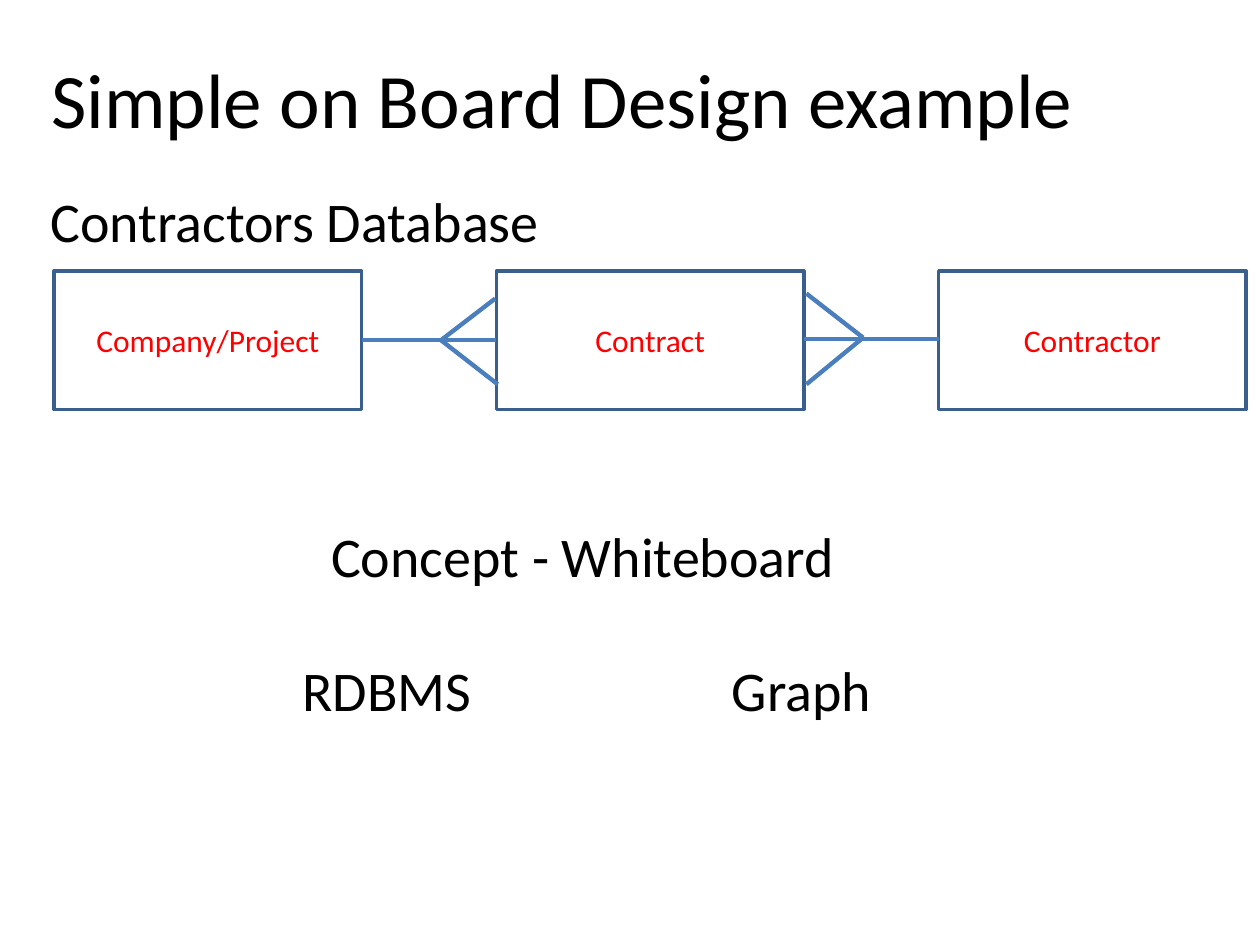
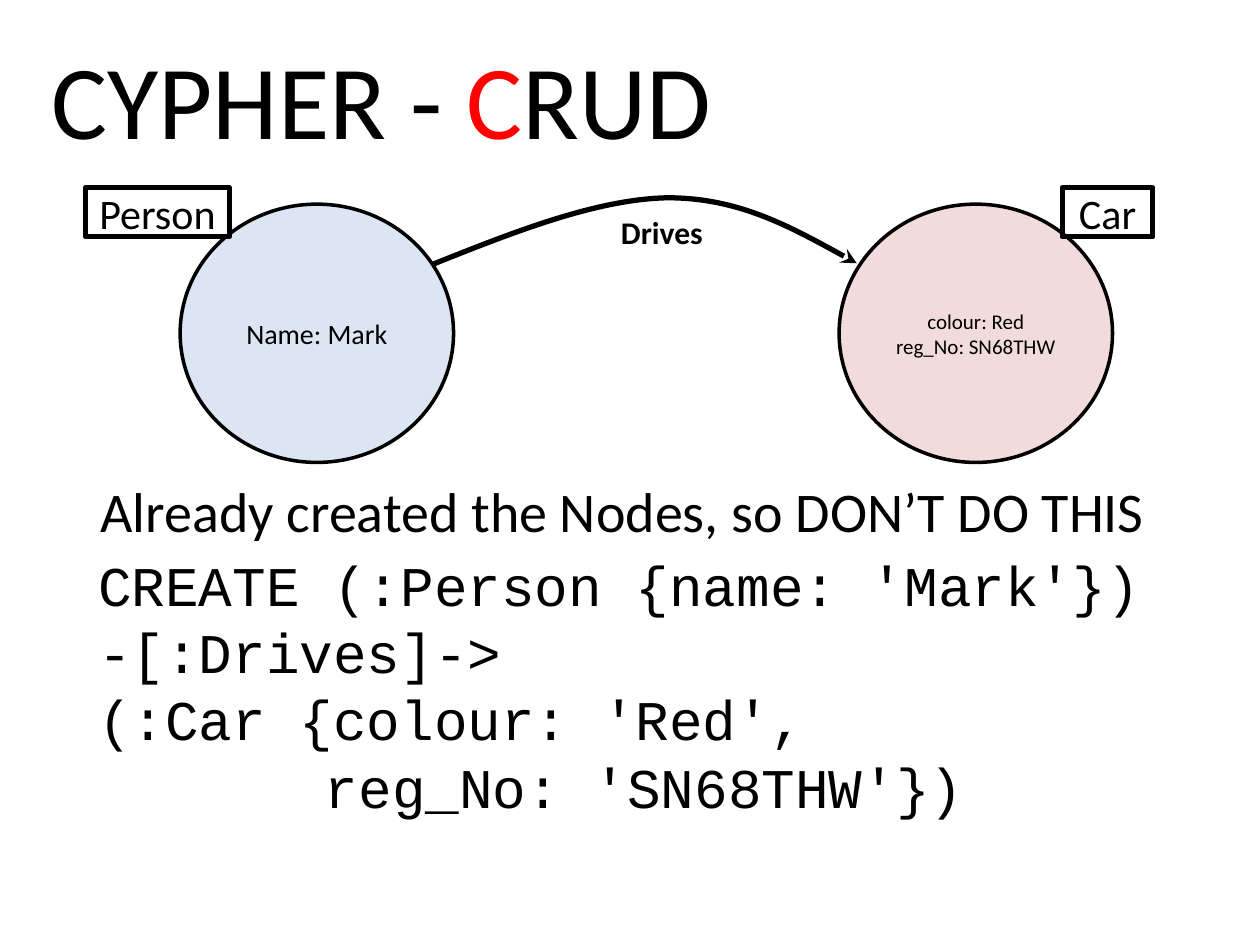
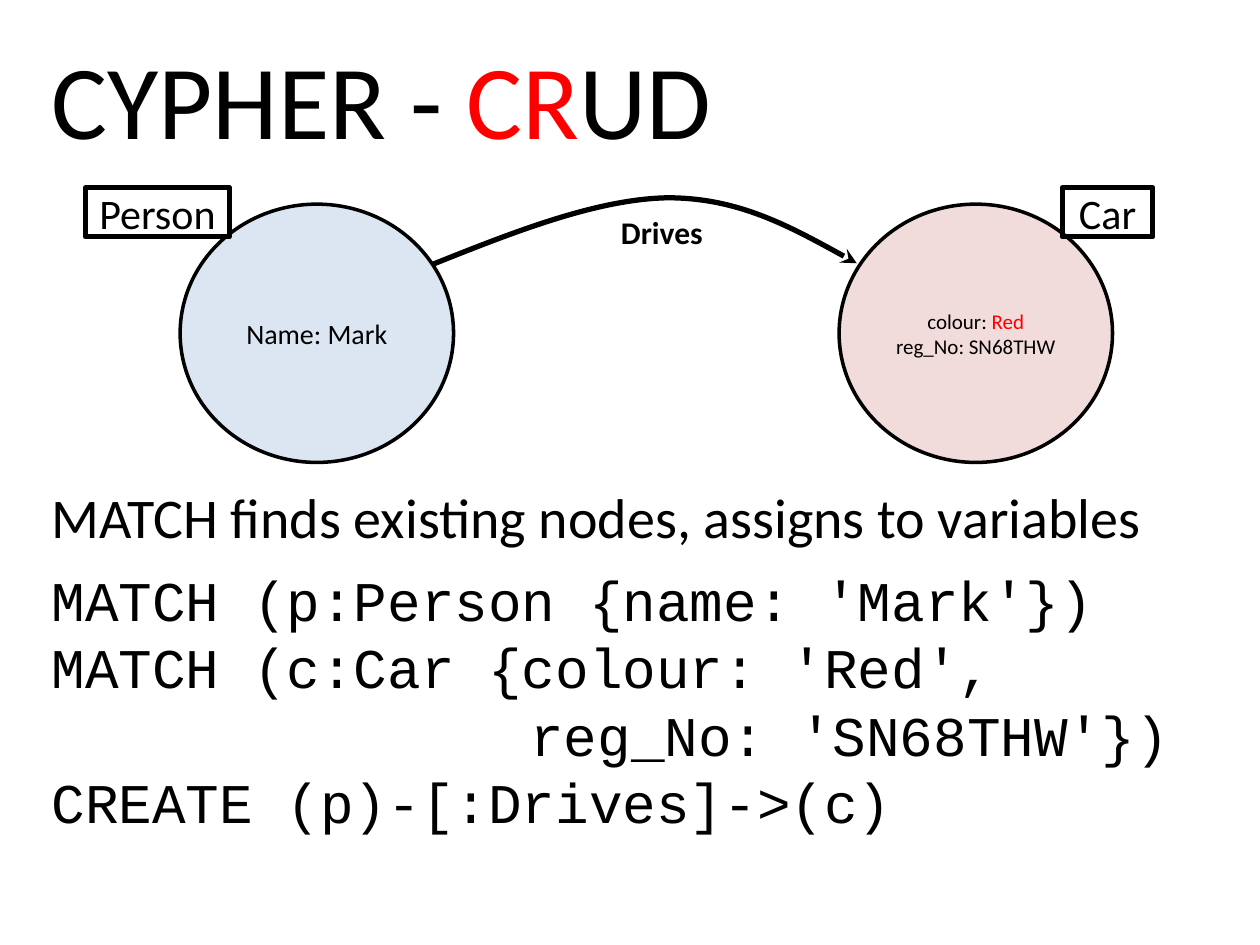
"""Build three slides on database design and Cypher CRUD."""
from lxml.etree import SubElement
from pptx import Presentation
from pptx.dml.color import RGBColor
from pptx.enum.shapes import MSO_CONNECTOR, MSO_SHAPE
from pptx.enum.text import MSO_ANCHOR as Anchor, PP_ALIGN as Align
from pptx.oxml.ns import qn
from pptx.util import Inches, Pt

BLACK = RGBColor(0x00, 0x00, 0x00)
RED = RGBColor(0xFF, 0x00, 0x00)
ENTITY_LINE = RGBColor(0x3A, 0x5F, 0x8C)
RELATION_LINE = RGBColor(0x4B, 0x7E, 0xBC)
PERSON_FILL = RGBColor(0xDC, 0xE6, 0xF2)
CAR_FILL = RGBColor(0xF2, 0xDC, 0xDB)
BODY_FONT, CODE_FONT = "Calibri", "Courier New"

TITLE_BOX = (0.31, 0.23, 8.36, 1.09)

DESIGN_TITLE = "Simple on Board Design example"
DESIGN_BOX = (0.3, 1.43, 9.33, 4.35)
DESIGN_TEXT = ["Contractors Database", "\tConcept - Whiteboard", "\tRDBMS\tGraph"]
DESIGN_TABS = [(), (2.23,), (2.0, 5.41)]
DESIGN_SPACES = [0, 153, 38]
ENTITIES = ["Company/Project", "Contract", "Contractor"]
ENTITY_LEFT, ENTITY_TOP, ENTITY_WIDTH, ENTITY_HEIGHT = 0.43, 2.15, 2.44, 1.1
ENTITY_STEP = 3.51
CROW_FEET = [
    [((2.87, 2.7), (3.94, 2.7)), ((3.5, 2.7), (3.93, 2.37)), ((3.5, 2.7), (3.95, 3.05))],
    [((6.38, 2.69), (7.45, 2.69)), ((6.4, 2.33), (6.85, 2.68)), ((6.4, 3.05), (6.85, 2.68))],
]

NODE_TOP, NODE_WIDTH, NODE_HEIGHT = 1.62, 2.17, 2.05
LABEL_TOP, LABEL_HEIGHT = 1.49, 0.39
DRIVES_BOX = (4.83, 1.64, 0.86, 0.4)
DRIVES_START = (3.43, 2.1)
DRIVES_CURVE = [(4.08, 1.84), (4.74, 1.58), (5.3, 1.57),
                (5.86, 1.57), (6.33, 1.83), (6.8, 2.09)]

CRUD_SLIDES = [
    {
        "title": [("CYPHER - ", BLACK), ("C", RED), ("RUD", BLACK)],
        "car": ["colour: Red", "reg_No: SN68THW"],
        "note": "Already created the Nodes, so DON’T DO THIS",
        "note_box": (0.7, 3.73, 8.82, 0.64),
        "code": ["CREATE (:Person {name: 'Mark'})", "-[:Drives]->",
                 "(:Car {colour: 'Red',", "\treg_No: 'SN68THW'})"],
        "code_box": (0.68, 4.32, 8.82, 2.26),
        "code_tab": 1.8,
    },
    {
        "title": [("CYPHER - ", BLACK), ("CR", RED), ("UD", BLACK)],
        "car": [[("colour: ", BLACK), ("Red", RED)], "reg_No: SN68THW"],
        "note": "MATCH finds existing nodes, assigns to variables",
        "note_box": (0.31, 3.78, 9.19, 0.64),
        "code": ["MATCH (p:Person {name: 'Mark'})", "MATCH (c:Car {colour: 'Red',",
                 "\treg_No: 'SN68THW'})", "CREATE (p)-[:Drives]->(c)"],
        "code_box": (0.31, 4.44, 9.19, 2.26),
        "code_tab": 3.8,
    },
]


def set_tabs(paragraph, positions):
    tab_list = SubElement(paragraph._p.get_or_add_pPr(), qn("a:tabLst"))
    for position in positions:
        SubElement(tab_list, qn("a:tab"), pos=str(Inches(position)), algn="l")


def write(shape, paragraphs, size, color=BLACK, font=BODY_FONT, bold=False,
          align=Align.LEFT, anchor=Anchor.TOP, wrap=True):
    frame = shape.text_frame
    frame.word_wrap, frame.vertical_anchor = wrap, anchor
    for index, runs in enumerate(paragraphs):
        paragraph = frame.paragraphs[0] if index == 0 else frame.add_paragraph()
        paragraph.alignment = align
        for text, run_color in [(runs, color)] if isinstance(runs, str) else runs:
            run = paragraph.add_run()
            run.text = text
            run.font.size, run.font.name, run.font.bold = Pt(size), font, bold
            run.font.color.rgb = run_color
    return frame.paragraphs


def add_text(slide, box, paragraphs, size, **text_format):
    return write(slide.shapes.add_textbox(*map(Inches, box)), paragraphs, size, **text_format)


def add_title(slide, runs):
    add_text(slide, TITLE_BOX, [runs], 44 if isinstance(runs, str) else 60, anchor=Anchor.MIDDLE)


def style(shape, line, width, fill=None):
    shape.shadow.inherit = False
    shape.line.color.rgb, shape.line.width = line, Pt(width)
    if fill is None:
        shape.fill.background()
    else:
        shape.fill.solid()
        shape.fill.fore_color.rgb = fill


def add_box(slide, kind, box, paragraphs, size, line, width, fill=None, color=BLACK):
    shape = slide.shapes.add_shape(kind, *map(Inches, box))
    style(shape, line, width, fill)
    write(shape, paragraphs, size, color=color, align=Align.CENTER, anchor=Anchor.MIDDLE)


def add_line(slide, start, end):
    connector = slide.shapes.add_connector(MSO_CONNECTOR.STRAIGHT, *map(Inches, start + end))
    connector.line.color.rgb, connector.line.width = RELATION_LINE, Pt(2.5)
    SubElement(connector._element.spPr, qn("a:effectLst"))


def add_curved_arrow(slide, start, points):
    builder = slide.shapes.build_freeform(*map(Inches, start))
    builder.add_line_segments([tuple(map(Inches, point)) for point in points], close=False)
    arrow = builder.convert_to_shape()
    style(arrow, BLACK, 3)
    segments = list(arrow._element.iter(qn("a:lnTo")))
    for first in range(0, len(segments), 3):
        curve = SubElement(segments[first].getparent(), qn("a:cubicBezTo"))
        for segment in segments[first:first + 3]:
            curve.append(segment[0])
            segment.getparent().remove(segment)
    SubElement(arrow._element.spPr.find(qn("a:ln")), qn("a:tailEnd"), type="stealth")


def build_design(slide):
    paragraphs = add_text(slide, DESIGN_BOX, DESIGN_TEXT, 32)
    for paragraph, tabs, space in zip(paragraphs, DESIGN_TABS, DESIGN_SPACES):
        paragraph.space_before = Pt(space)
        set_tabs(paragraph, tabs)
    add_title(slide, DESIGN_TITLE)
    for index, entity in enumerate(ENTITIES):
        box = (ENTITY_LEFT + index * ENTITY_STEP, ENTITY_TOP, ENTITY_WIDTH, ENTITY_HEIGHT)
        add_box(slide, MSO_SHAPE.RECTANGLE, box, [entity], 18, ENTITY_LINE, 2, color=RED)
    for foot in CROW_FEET:
        for start, end in foot:
            add_line(slide, start, end)


def build_crud(slide, content):
    add_title(slide, content["title"])
    nodes = [
        (1.43, ["Name: Mark"], 16, PERSON_FILL, 0.68, 1.14, "Person"),
        (6.66, content["car"], 12, CAR_FILL, 8.43, 0.72, "Car"),
    ]
    for left, properties, size, fill, label_left, label_width, label in nodes:
        add_box(slide, MSO_SHAPE.OVAL, (left, NODE_TOP, NODE_WIDTH, NODE_HEIGHT),
                properties, size, BLACK, 2, fill=fill)
        add_box(slide, MSO_SHAPE.RECTANGLE, (label_left, LABEL_TOP, label_width, LABEL_HEIGHT),
                [label], 24, BLACK, 3)
    add_curved_arrow(slide, DRIVES_START, DRIVES_CURVE)
    add_text(slide, DRIVES_BOX, ["Drives"], 18, bold=True, wrap=False)
    add_text(slide, content["note_box"], [content["note"]], 32)
    for paragraph in add_text(slide, content["code_box"], content["code"], 32, font=CODE_FONT):
        set_tabs(paragraph, [content["code_tab"]])


def main():
    presentation = Presentation()
    presentation.slide_width, presentation.slide_height = Inches(10), Inches(7.5)
    blank = presentation.slide_layouts[6]
    build_design(presentation.slides.add_slide(blank))
    for content in CRUD_SLIDES:
        build_crud(presentation.slides.add_slide(blank), content)
    presentation.save("out.pptx")


if __name__ == "__main__":
    main()
